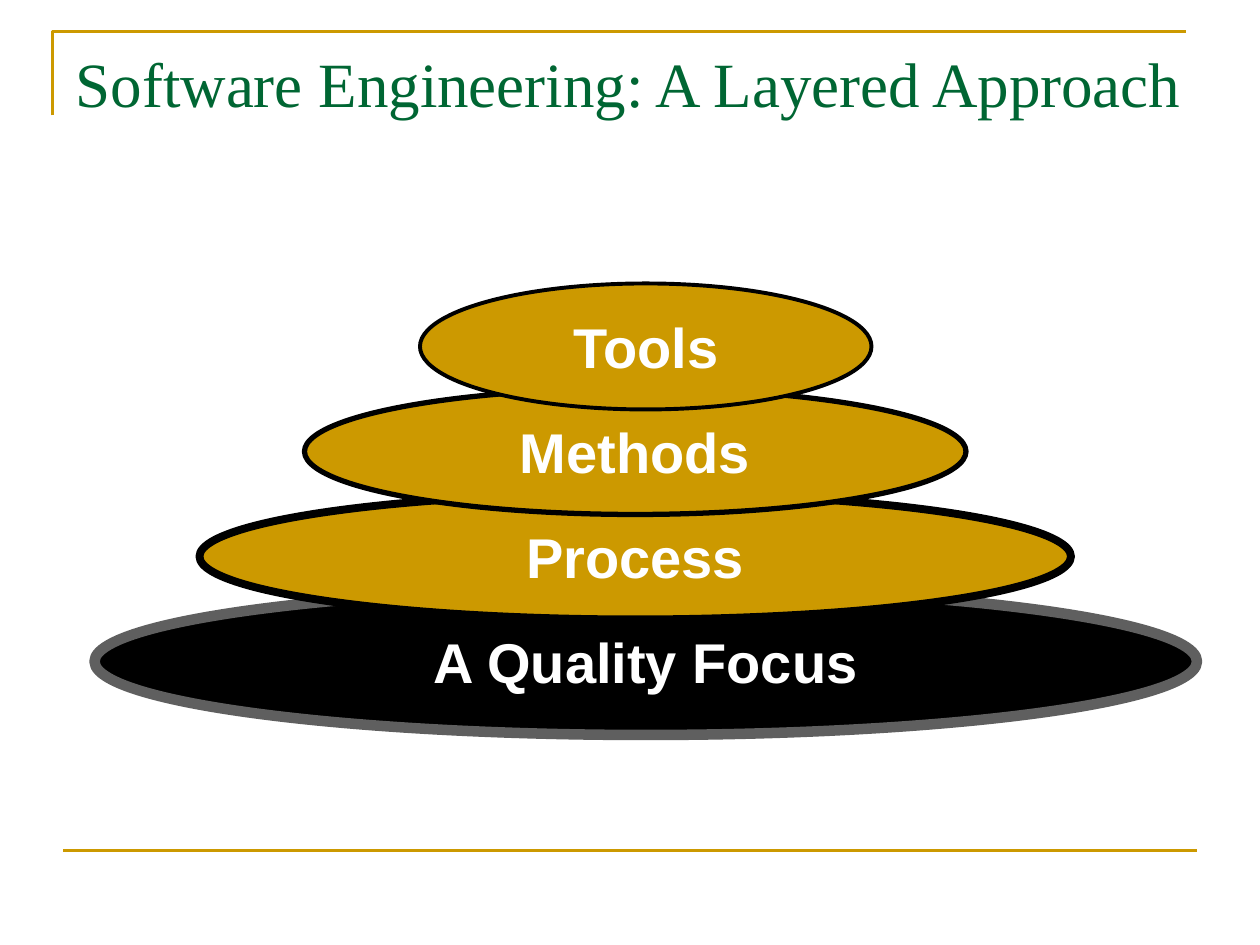
from lxml.etree import SubElement
from pptx import Presentation
from pptx.dml.color import RGBColor
from pptx.enum.shapes import MSO_CONNECTOR, MSO_SHAPE
from pptx.enum.text import MSO_ANCHOR, PP_ALIGN
from pptx.oxml.ns import qn
from pptx.util import Pt

COLORS = {
    "gold": "CC9900",
    "green": "006633",
    "black": "000000",
    "gray": "5F5F5F",
    "white": "FFFFFF",
}

LAYERS = [
    ("A Quality Focus", 54, 336, 630, 84, "black", "gray", 6),
    ("Process", 114, 282, 498, 72, "gold", "black", 4.5),
    ("Methods", 174, 222, 378, 72, "gold", "black", 3),
    ("Tools", 240, 162, 258, 72, "gold", "black", 2.25),
]


def rgb(name):
    """Return the named colour."""
    return RGBColor.from_string(COLORS[name])


def set_line(sp, color, width):
    """Give a shape or connector a solid line."""
    sp.line.color.rgb = rgb(color)
    sp.line.width = Pt(width)


def set_font(p, name, size, color, bold=False):
    """Format every run of a paragraph."""
    for r in p.runs:
        r.font.name = name
        r.font.size = Pt(size)
        r.font.bold = bold
        r.font.color.rgb = rgb(color)


def add_title(s, text):
    """Place and format the title placeholder."""
    sp = s.shapes.title
    sp.left, sp.top, sp.width, sp.height = Pt(36), Pt(21.6), Pt(648), Pt(90)
    tf = sp.text_frame
    tf.text = text
    tf.word_wrap = True
    tf.vertical_anchor = MSO_ANCHOR.TOP
    p = tf.paragraphs[0]
    p.alignment = PP_ALIGN.LEFT
    set_font(p, "Times New Roman", 36, "green")


def add_corner(s):
    """Draw the open corner line around the title."""
    fb = s.shapes.build_freeform(Pt(30), Pt(66))
    fb.add_line_segments([(Pt(30), Pt(18)), (Pt(678), Pt(18))], close=False)
    sp = fb.convert_to_shape()
    sp.shadow.inherit = False
    sp.fill.background()
    set_line(sp, "gold", 1.5)


def add_rule(s):
    """Draw the horizontal line at the foot of the slide."""
    cn = s.shapes.add_connector(
        MSO_CONNECTOR.STRAIGHT, Pt(36), Pt(486), Pt(684), Pt(486))
    set_line(cn, "gold", 1.5)
    SubElement(cn._element.spPr, qn("a:effectLst"))


def add_layer(s, text, x, y, w, h, fill, line, width):
    """Draw one labelled ellipse of the stack."""
    sp = s.shapes.add_shape(MSO_SHAPE.OVAL, Pt(x), Pt(y), Pt(w), Pt(h))
    sp.shadow.inherit = False
    sp.fill.solid()
    sp.fill.fore_color.rgb = rgb(fill)
    set_line(sp, line, width)
    tf = sp.text_frame
    tf.text = text
    tf.word_wrap = False
    tf.vertical_anchor = MSO_ANCHOR.MIDDLE
    p = tf.paragraphs[0]
    p.alignment = PP_ALIGN.CENTER
    set_font(p, "Arial", 32, "white", bold=True)


def main():
    """Build and save the slide."""
    prs = Presentation()
    prs.slide_width, prs.slide_height = Pt(720), Pt(540)
    s = prs.slides.add_slide(prs.slide_layouts[5])
    add_title(s, "Software Engineering: A Layered Approach")
    add_corner(s)
    add_rule(s)
    for layer in LAYERS:
        add_layer(s, *layer)
    prs.save("out.pptx")


main()
